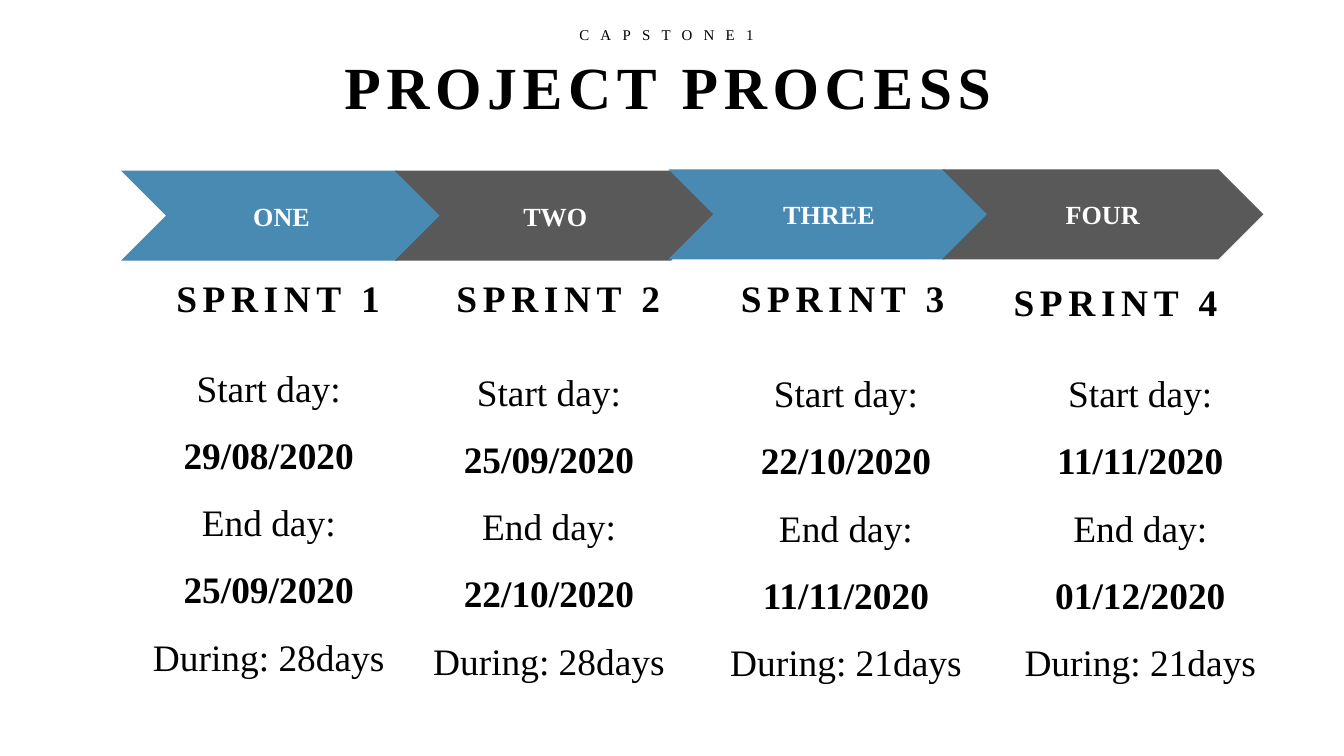
from dataclasses import dataclass

from pptx import Presentation
from pptx.dml.color import RGBColor
from pptx.enum.shapes import MSO_SHAPE
from pptx.enum.text import MSO_ANCHOR, MSO_AUTO_SIZE, PP_ALIGN
from pptx.util import Emu, Inches, Pt

CHEVRON = MSO_SHAPE.CHEVRON
MIDDLE, TOP = MSO_ANCHOR.MIDDLE, MSO_ANCHOR.TOP
CENTER = PP_ALIGN.CENTER
NO_FIT, GROW = MSO_AUTO_SIZE.NONE, MSO_AUTO_SIZE.SHAPE_TO_FIT_TEXT

FONT = "Times New Roman"
COLORS = {"ink": "000000", "paper": "FFFFFF", "blue": "498AB3", "gray": "595959"}

SLIDE_WIDTH = Inches(10)
SLIDE_HEIGHT = Emu(SLIDE_WIDTH * 9 // 16)
CELL = SLIDE_WIDTH / 100  # square grid cell, 100 columns across the slide


@dataclass(frozen=True)
class Area:
    """Place on the grid, in columns and rows."""
    column: float
    row: float
    columns: float
    rows: float

    def lengths(self) -> list[Emu]:
        return [Emu(round(n * CELL))
                for n in (self.column, self.row, self.columns, self.rows)]


@dataclass(frozen=True)
class Sprint:
    step: str
    color: str
    step_row: float
    heading: str
    heading_area: Area
    start: str
    end: str
    days: int
    dates_area: Area


SPRINTS = [
    Sprint("ONE", "blue", 12.7, "SPRINT 1", Area(11.5, 20, 18.4, 4.4),
           "29/08/2020", "25/09/2020", 28, Area(8.3, 25, 23.4, 26.3)),
    Sprint("TWO", "gray", 12.7, "SPRINT 2", Area(31.9, 20, 19.3, 4.4),
           "25/09/2020", "22/10/2020", 28, Area(29.6, 25.3, 22.5, 26.3)),
    Sprint("THREE", "blue", 12.6, "SPRINT 3", Area(53.6, 20, 18.2, 4.4),
           "22/10/2020", "11/11/2020", 21, Area(51.8, 25.4, 22.3, 26.3)),
    Sprint("FOUR", "gray", 12.6, "SPRINT 4", Area(73.6, 20.3, 18.8, 4.4),
           "11/11/2020", "01/12/2020", 21, Area(73.7, 25.4, 22.3, 26.3)),
]
STEP_LEFT, STEP_LAST = 9, 70.1
STEP_PITCH = (STEP_LAST - STEP_LEFT) / (len(SPRINTS) - 1)


def add_span(para, text: str, *, size: float, color: str = "ink",
             bold: bool = False, spacing: float = 0) -> None:
    """Add text to a centred paragraph; spacing is between letters, in points."""
    para.alignment = CENTER
    span = para.add_run()
    span.text = text
    span.font.name = FONT
    span.font.size = Pt(size)
    span.font.bold = bold
    span.font.color.rgb = RGBColor.from_string(COLORS[color])
    if spacing:
        span._r.get_or_add_rPr().set("spc", str(round(spacing * 100)))


def add_box(page, area: Area, wrap: bool = True):
    frame = page.shapes.add_textbox(*area.lengths()).text_frame
    frame.word_wrap = wrap
    frame.auto_size = GROW
    frame.vertical_anchor = TOP
    return frame


def set_title(page, text: str, area: Area) -> None:
    title = page.shapes.title
    title.left, title.top, title.width, title.height = area.lengths()
    frame = title.text_frame
    frame.auto_size = NO_FIT
    frame.word_wrap = True
    frame.vertical_anchor = MIDDLE
    frame.margin_left = frame.margin_right = Inches(0.1)
    frame.margin_top, frame.margin_bottom = Inches(0.13), Inches(0.07)
    add_span(frame.paragraphs[0], text, size=32, bold=True, spacing=3)


def add_step(page, sprint: Sprint, index: int) -> None:
    area = Area(STEP_LEFT + index * STEP_PITCH, sprint.step_row, 23.9, 6.7)
    chevron = page.shapes.add_shape(CHEVRON, *area.lengths())
    chevron.shadow.inherit = False
    chevron.fill.solid()
    chevron.fill.fore_color.rgb = RGBColor.from_string(COLORS[sprint.color])
    chevron.line.fill.background()
    frame = chevron.text_frame
    frame.vertical_anchor = MIDDLE
    frame.margin_left = frame.margin_right = Inches(0.05)
    frame.margin_top = frame.margin_bottom = Inches(0.03)
    add_span(frame.paragraphs[0], sprint.step, size=14, color="paper", bold=True)


def add_dates(page, sprint: Sprint) -> None:
    """Each date wraps to the line below its label."""
    frame = add_box(page, sprint.dates_area)
    lines = [("Start day: ", sprint.start), ("End day: ", sprint.end),
             (f"During: {sprint.days}days", "")]
    for index, (label, date) in enumerate(lines):
        para = frame.add_paragraph() if index else frame.paragraphs[0]
        para.line_spacing = 1.5
        add_span(para, label, size=20)
        if date:
            add_span(para, date, size=20, bold=True)


def main() -> None:
    deck = Presentation()
    deck.slide_width, deck.slide_height = SLIDE_WIDTH, SLIDE_HEIGHT
    page = deck.slides.add_slide(deck.slide_layouts.get_by_name("Title Only"))
    page.background.fill.solid()
    page.background.fill.fore_color.rgb = RGBColor.from_string(COLORS["paper"])

    set_title(page, "PROJECT PROCESS", Area(19.4, 2.6, 60.6, 6.9))
    course = add_box(page, Area(41.6, 1.4, 16, 2.4), wrap=False)
    add_span(course.paragraphs[0], "CAPSTONE1", size=8, spacing=6)

    for index, sprint in enumerate(SPRINTS):
        add_step(page, sprint, index)
        heading = add_box(page, sprint.heading_area)
        add_span(heading.paragraphs[0], sprint.heading,
                 size=20, bold=True, spacing=3)
        add_dates(page, sprint)

    deck.save("out.pptx")


if __name__ == "__main__":
    main()
